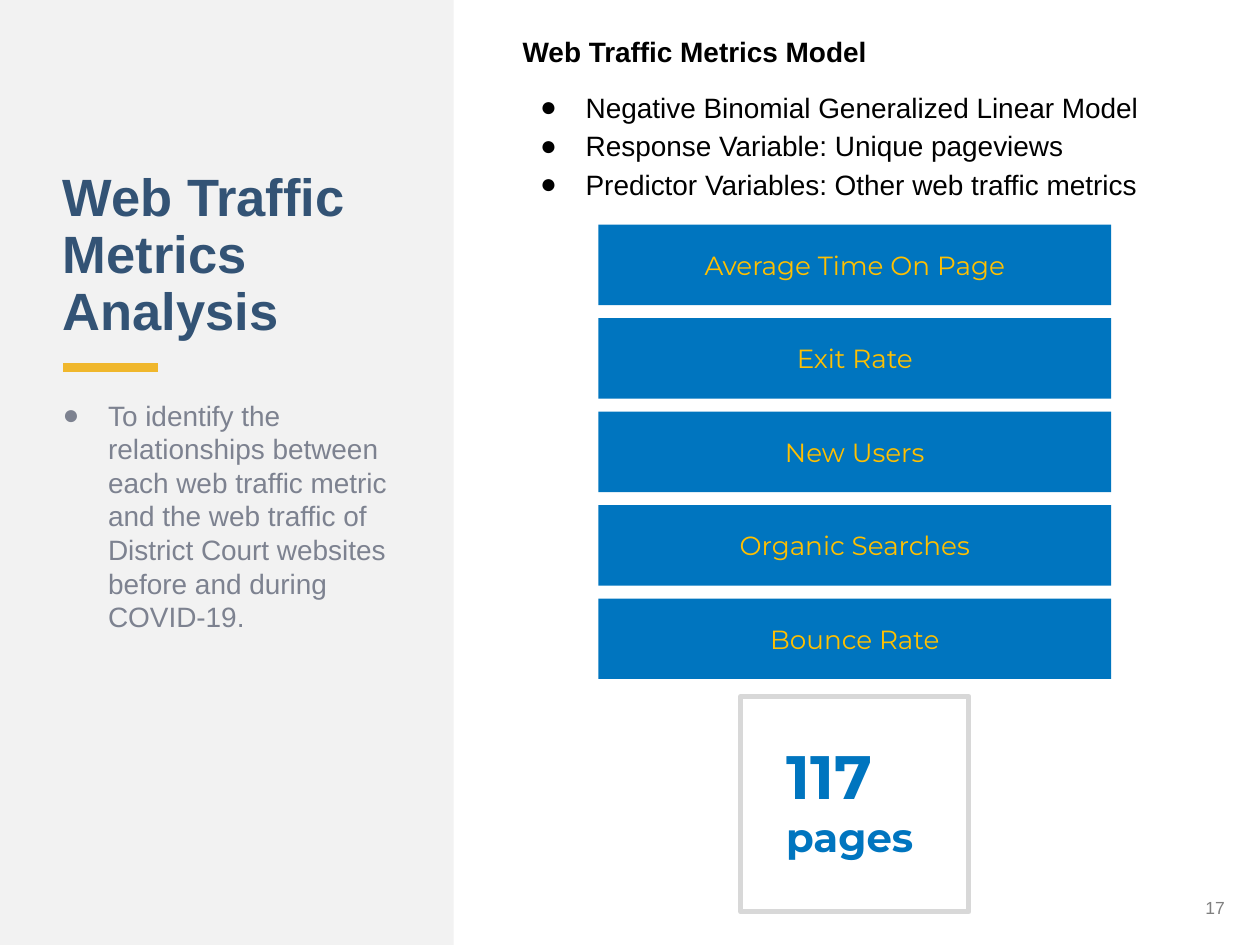
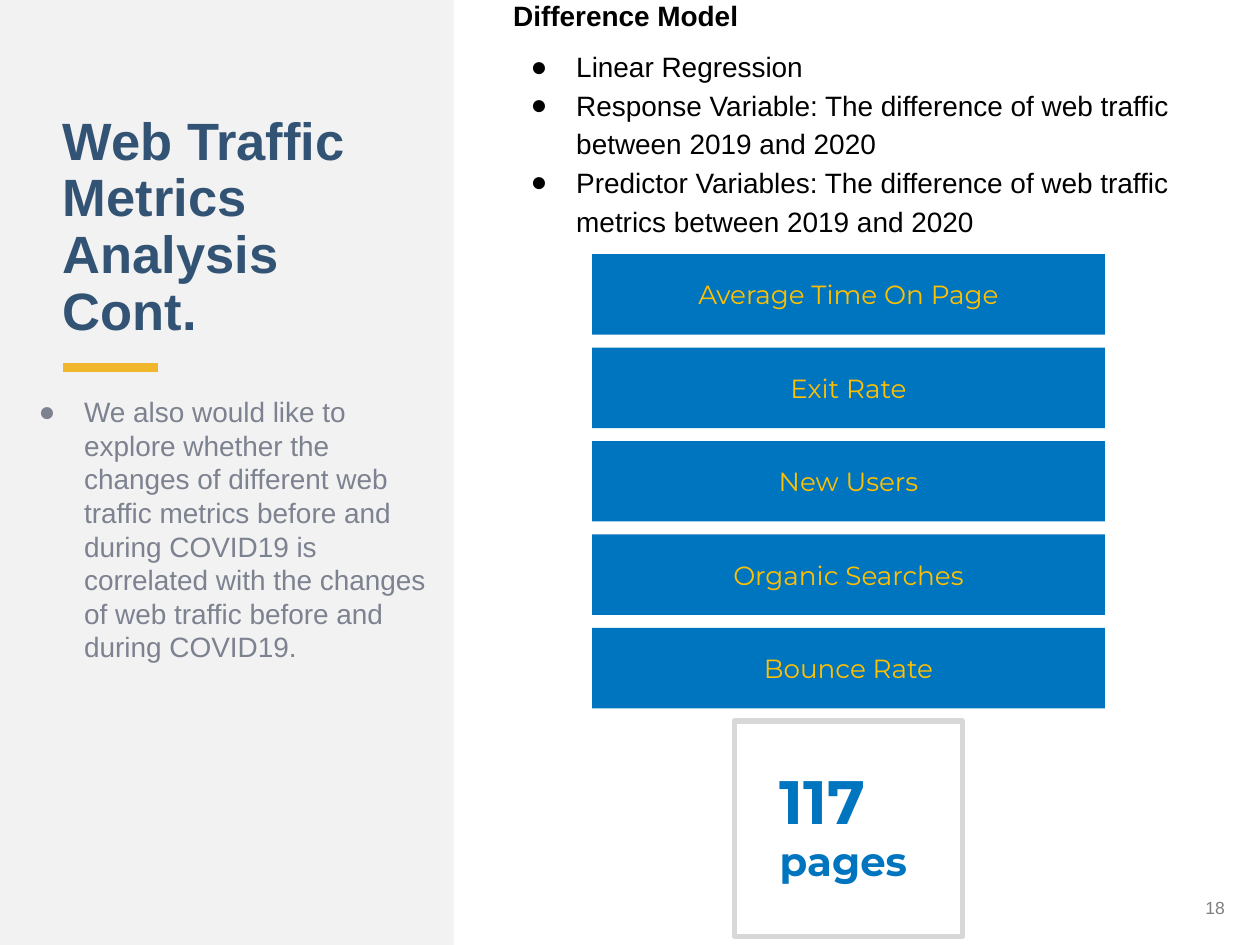
import pptx
import pptx.util
import pptx.dml.color
import pptx.enum.shapes
import pptx.enum.text
import pptx.oxml
import pptx.oxml.ns
from lxml import etree

Pt = pptx.util.Pt
ALIGN = pptx.enum.text.PP_ALIGN
ANCHOR = pptx.enum.text.MSO_ANCHOR
RECTANGLE = pptx.enum.shapes.MSO_SHAPE.RECTANGLE
STRAIGHT = pptx.enum.shapes.MSO_CONNECTOR.STRAIGHT

PANEL, GOLD, NAVY, SLATE = "F2F2F2", "F0B72C", "335375", "7D8290"
BLUE, YELLOW, FRAME, GREY, BLACK = "0075BF", "FFC000", "D8D8D8", "7F7F7F", "000000"
METRICS = ["Average Time On Page", "Exit Rate", "New Users", "Organic Searches", "Bounce Rate"]
TILE_WIDTH, TILE_HEIGHT, TILE_PITCH = 293, 46, 53.4
FRAME_WIDTH, FRAME_HEIGHT = 130.4, 123


def color(value):
    return pptx.dml.color.RGBColor.from_string(value)


class Painter:
    def __init__(self, deck):
        self.deck = deck
        self.page = None

    def new_page(self):
        self.page = self.deck.slides.add_slide(self.deck.slide_layouts[6])

    def rectangle(self, left, top, width, height, fill=None, line=None):
        box = self.page.shapes.add_shape(RECTANGLE, Pt(left), Pt(top), Pt(width), Pt(height))
        box.shadow.inherit = False
        if fill:
            box.fill.solid()
            box.fill.fore_color.rgb = color(fill)
        else:
            box.fill.background()
        if line:
            box.line.color.rgb = color(line)
            box.line.width = Pt(3)
        else:
            box.line.fill.background()
        return box

    def rule(self, left, right, top):
        line = self.page.shapes.add_connector(STRAIGHT, Pt(left), Pt(top), Pt(right), Pt(top))
        line.line.color.rgb = color(GOLD)
        line.line.width = Pt(5)
        etree.SubElement(line.element.spPr, pptx.oxml.ns.qn("a:effectLst"))

    def text_box(self, left, top, width, height, anchor=ANCHOR.TOP, inset=3.6):
        box = self.page.shapes.add_textbox(Pt(left), Pt(top), Pt(width), Pt(height))
        frame = box.text_frame
        frame.word_wrap = True
        frame.vertical_anchor = anchor
        frame.margin_top = frame.margin_bottom = Pt(inset)
        return frame

    def style(self, para, size, tint, face="Arial", bold=False, align=ALIGN.LEFT, spacing=1.0, before=0):
        para.alignment = align
        para.line_spacing = spacing
        para.space_before = Pt(before)
        para.font.size = Pt(size)
        para.font.name = face
        para.font.bold = bold
        para.font.color.rgb = color(tint)

    def bullet(self, para, tint):
        properties = para._p.get_or_add_pPr()
        properties.set("marL", str(Pt(36)))
        properties.set("indent", str(-Pt(26)))
        space = pptx.oxml.ns.nsdecls("a")
        marks = [
            f'<a:buClr {space}><a:srgbClr val="{tint}"/></a:buClr>',
            f'<a:buFont {space} typeface="Arial"/>',
            f'<a:buChar {space} char="●"/>',
        ]
        first = properties.find(pptx.oxml.ns.qn("a:defRPr"))
        for mark in marks:
            element = pptx.oxml.parse_xml(mark)
            if first is None:
                properties.append(element)
            else:
                first.addprevious(element)

    def side_panel(self, title, number):
        self.rectangle(0, 0, 259.2, 540, PANEL)
        self.rule(36, 90, 210.2)
        para = self.text_box(28.8, 34.5, 207.4, 164.2, ANCHOR.BOTTOM).paragraphs[0]
        para.text = title
        self.style(para, 30, NAVY, bold=True, spacing=0.9, before=10)
        para = self.text_box(545, 507.6, 162, 21.6, ANCHOR.MIDDLE).paragraphs[0]
        para.text = str(number)
        self.style(para, 10, GREY, align=ALIGN.RIGHT)

    def goal(self, left, top, width, words):
        para = self.text_box(left, top, width, 286).paragraphs[0]
        para.text = words
        self.style(para, 16, SLATE, before=10)
        self.bullet(para, SLATE)

    def model(self, left, top, heading, points, lead_spacing):
        frame = self.text_box(left, top, 414.7, 99.4, inset=7.2)
        para = frame.paragraphs[0]
        para.text = heading
        self.style(para, 16, BLACK, bold=True, spacing=lead_spacing, before=10)
        for index, point in enumerate(points):
            para = frame.add_paragraph()
            para.text = point
            spacing, before = (1.15, 0) if index else (lead_spacing, 10)
            self.style(para, 16, BLACK, spacing=spacing, before=before)
            self.bullet(para, BLACK)

    def metric_tiles(self, left, top):
        for index, metric in enumerate(METRICS):
            tile = self.rectangle(left, top + index * TILE_PITCH, TILE_WIDTH, TILE_HEIGHT, BLUE)
            tile.text_frame.vertical_anchor = ANCHOR.MIDDLE
            para = tile.text_frame.paragraphs[0]
            para.text = metric
            self.style(para, 15, YELLOW, "Montserrat", align=ALIGN.CENTER)

    def page_count(self, tiles_left, top):
        left = tiles_left + (TILE_WIDTH - FRAME_WIDTH) / 2
        self.rectangle(left, top, FRAME_WIDTH, FRAME_HEIGHT, line=FRAME)
        para = self.text_box(left + 18.8, top + 16.8, 110.2, 105.8, inset=7.2).paragraphs[0]
        self.style(para, 35, BLUE, "Montserrat", bold=True)
        for words, size in (("117 ", 35), ("pages", 23)):
            span = para.add_run()
            span.text = words
            span.font.size = Pt(size)


def main():
    deck = pptx.Presentation()
    deck.slide_width, deck.slide_height = Pt(720), Pt(540)
    painter = Painter(deck)

    painter.new_page()
    painter.side_panel("Web Traffic Metrics Analysis", 17)
    painter.goal(18.7, 224, 227.5,
                 "To identify the relationships between each web traffic metric and the web "
                 "traffic of District Court websites before and during COVID-19.")
    painter.metric_tiles(342, 128.4)
    painter.model(291.6, 9.4, "Web Traffic Metrics Model", [
        "Negative Binomial Generalized Linear Model",
        "Response Variable: Unique pageviews",
        "Predictor Variables: Other web traffic metrics",
    ], 1.15)
    painter.page_count(342, 398)

    painter.new_page()
    painter.side_panel("Web Traffic Metrics Analysis Cont.", 18)
    painter.goal(5, 222, 252.7,
                 "We also would like to explore whether the changes of different web traffic "
                 "metrics before and during COVID19 is correlated with the changes of web "
                 "traffic before and during COVID19.")
    painter.metric_tiles(338.4, 145.2)
    painter.model(286.2, -8, "Difference Model", [
        "Linear Regression",
        "Response Variable: The difference of web traffic between 2019 and 2020",
        "Predictor Variables: The difference of web traffic metrics between 2019 and 2020",
    ], 1.0)
    painter.page_count(338.4, 412)

    deck.save("out.pptx")


if __name__ == "__main__":
    main()
